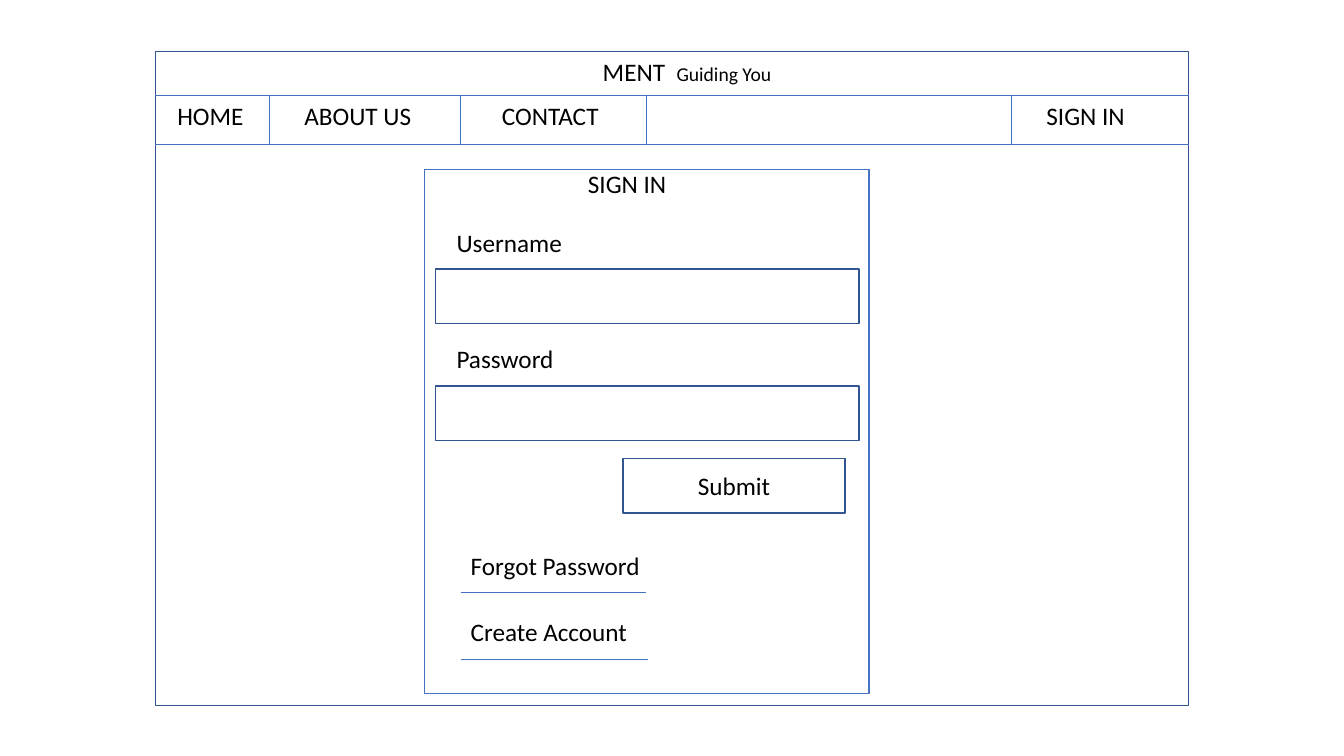
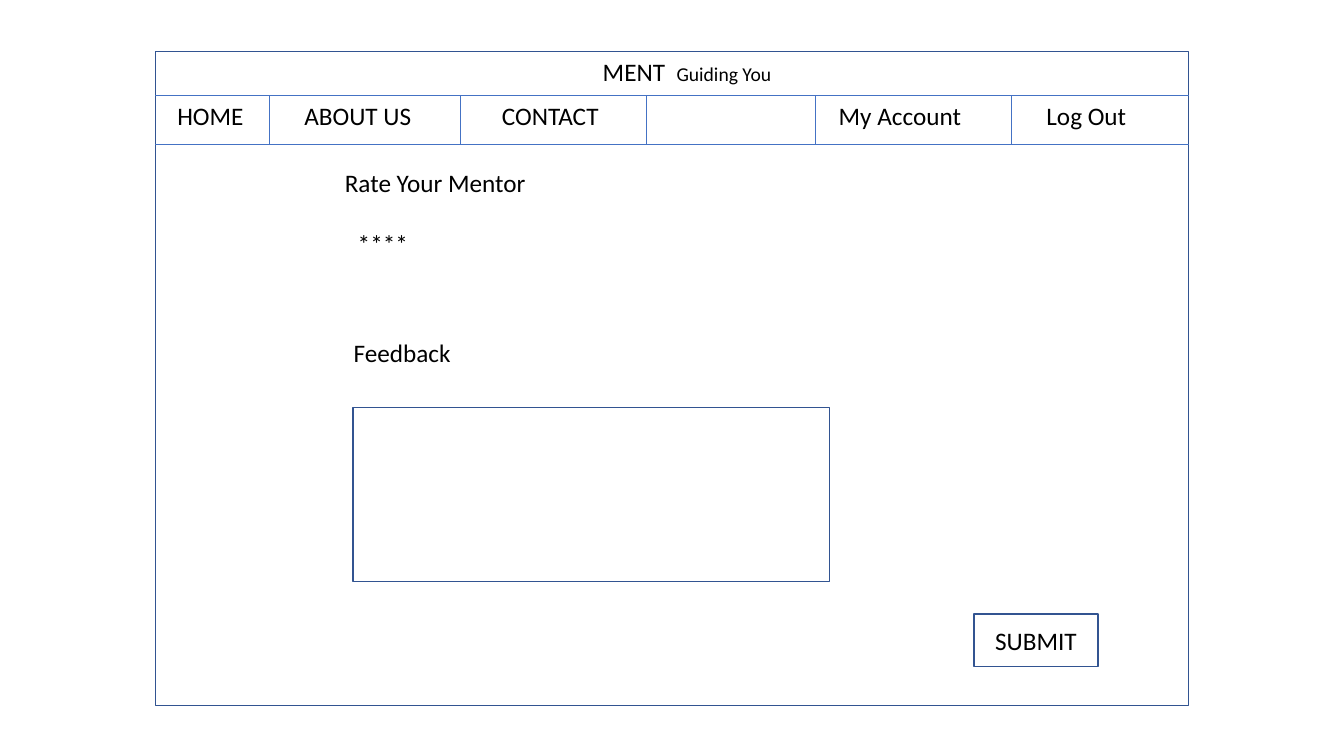
from pptx import Presentation
from pptx.dml.color import RGBColor
from pptx.enum.shapes import MSO_CONNECTOR, MSO_SHAPE
from pptx.enum.text import MSO_ANCHOR, MSO_AUTO_SIZE, PP_ALIGN
from pptx.util import Inches, Pt
from lxml import etree

RECT = MSO_SHAPE.RECTANGLE
LINE = MSO_CONNECTOR.STRAIGHT
LEFT, CENTER = PP_ALIGN.LEFT, PP_ALIGN.CENTER
TOP, MIDDLE = MSO_ANCHOR.TOP, MSO_ANCHOR.MIDDLE
FIT = MSO_AUTO_SIZE.SHAPE_TO_FIT_TEXT
NONE = MSO_AUTO_SIZE.NONE

DARK, BLUE, WHITE, BLACK = "325491", "4472C4", "FFFFFF", "000000"
FONT = "Calibri"
NS = "{http://schemas.openxmlformats.org/drawingml/2006/main}"
ROW = 0.4
X1, X2 = 1.54, 11.79
BAR1, BAR2 = 0.95, 1.43


def color(code):
    return RGBColor.from_string(code)


def write(shape, text, align=LEFT, anchor=TOP, fit=FIT):
    frame = shape.text_frame
    frame.word_wrap = True
    frame.auto_size = fit
    frame.vertical_anchor = anchor
    para = frame.paragraphs[0]
    para.text = text
    para.alignment = align
    para.font.name = FONT
    para.font.size = Pt(18)
    para.font.color.rgb = color(BLACK)
    return para


deck = Presentation()
deck.slide_width, deck.slide_height = Inches(13.33), Inches(7.5)

MENU = [("HOME", 1.66, 0.92), ("ABOUT US", 2.92, 1.41), ("CONTACT", 4.88, 1.3)]
DIVS = [2.67, 4.57, 6.41, 10.03]

# Each page: title and its box, extra menu, dividers, boxes, labels, underlines
pages = [
    {
        "title": ("SIGN IN", 5.12, 1.62, 2.2, CENTER),
        "menu": [("SIGN IN", 10.28, 1.29)],
        "divs": [],
        "boxes": [
            (4.21, 1.68, 4.41, 5.2, BLUE, ""),
            (4.32, 2.67, 4.2, 0.54, DARK, ""),
            (4.32, 3.83, 4.2, 0.54, DARK, ""),
            (6.18, 4.55, 2.2, 0.54, DARK, "Submit"),
        ],
        "labels": [
            ("Username", 4.43, 2.21, 1.78),
            ("Password", 4.43, 3.36, 1.3),
            ("Forgot Password", 4.57, 5.41, 2.1),
            ("Create Account", 4.57, 6.07, 1.87),
        ],
        "rules": [(4.57, 5.88, 6.41), (4.57, 6.54, 6.43)],
    },
    {
        "title": ("Rate Your Mentor", 3.32, 1.61, 4.08, LEFT),
        "menu": [("My Account", 8.22, 1.8), ("Log Out", 10.28, 1.29)],
        "divs": [8.09],
        "boxes": [
            (3.5, 4.04, 4.73, 1.73, DARK, ""),
            (9.66, 6.09, 1.23, 0.52, DARK, "SUBMIT"),
        ],
        "labels": [("****", 3.45, 2.22, 1.5), ("Feedback", 3.41, 3.3, 2.57)],
        "rules": [],
    },
]

for page in pages:
    slide = deck.slides.add_slide(deck.slide_layouts[5])
    shapes = slide.shapes

    # Page frame, fields and buttons
    frame = (X1, 0.51, X2 - X1, 6.49, DARK, "")
    for x, y, w, h, edge, text in [frame] + page["boxes"]:
        box = shapes.add_shape(RECT, Inches(x), Inches(y), Inches(w), Inches(h))
        box.shadow.inherit = False
        box.fill.solid()
        box.fill.fore_color.rgb = color(WHITE)
        box.line.color.rgb = color(edge)
        box.line.width = Pt(1)
        if text:
            write(box, text, CENTER, MIDDLE, NONE)

    # Menu bar edges, dividers and link underlines
    lines = [(X1, y, X2, y) for y in (BAR1, BAR2)]
    lines += [(x, BAR1, x, BAR2) for x in DIVS + page["divs"]]
    lines += [(a, y, b, y) for a, y, b in page["rules"]]
    for ends in lines:
        line = shapes.add_connector(LINE, *[Inches(v) for v in ends])
        line.line.color.rgb = color(BLUE)
        line.line.width = Pt(0.5)
        etree.SubElement(line._element.spPr, NS + "effectLst")

    # Site name, menu items and labels
    menu = [(text, x, BAR1, w) for text, x, w in MENU + page["menu"]]
    for text, x, y, w in [("", 5.88, 0.51, 2.34)] + menu + page["labels"]:
        box = shapes.add_textbox(Inches(x), Inches(y), Inches(w), Inches(ROW))
        para = write(box, text)
        if not text:
            for part, size in (("MENT  ", 18), ("Guiding You", 14)):
                run = para.add_run()
                run.text = part
                run.font.size = Pt(size)

    # Title, brought in front of the frame
    text, x, y, w, align = page["title"]
    title = shapes.title
    title.left, title.top = Inches(x), Inches(y)
    title.width, title.height = Inches(w), Inches(ROW)
    write(title, text, align)
    shapes._spTree.append(title._element)

deck.save("out.pptx")
